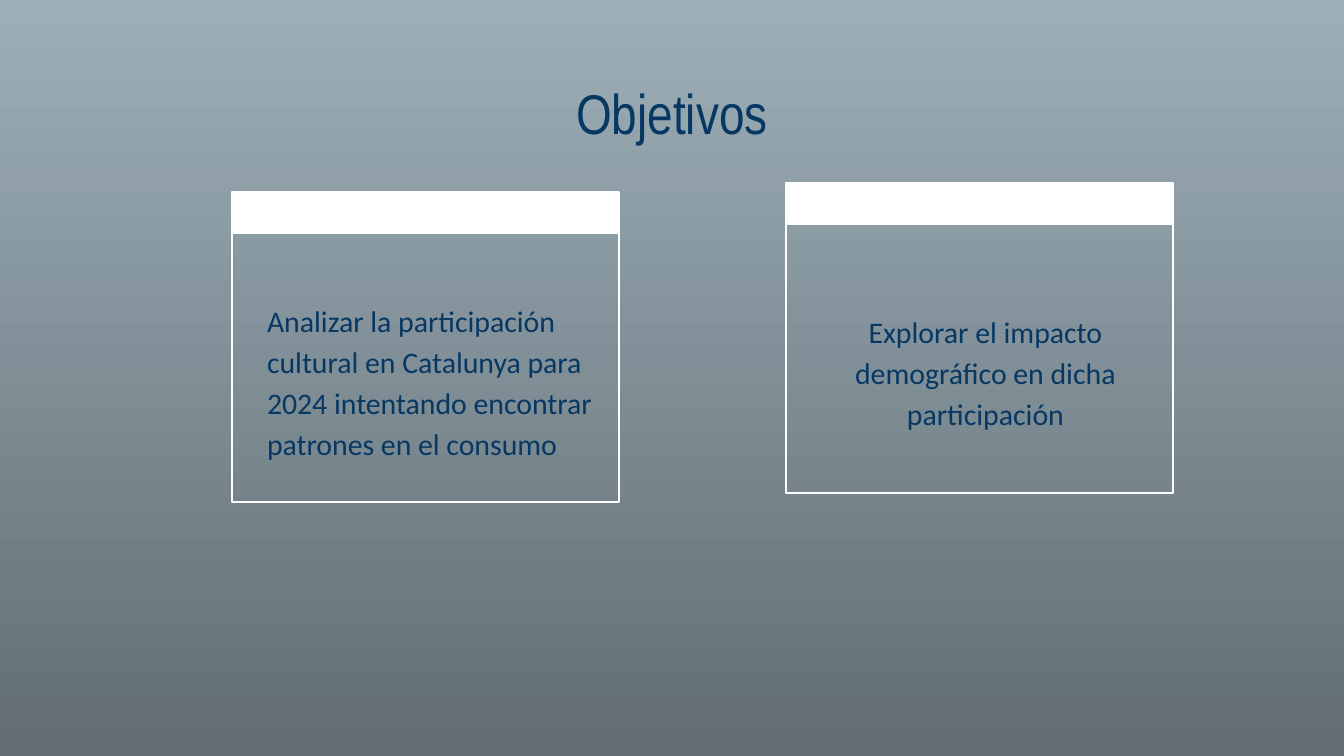
from lxml.etree import SubElement
from pptx import Presentation
from pptx.dml.color import RGBColor
from pptx.enum.shapes import MSO_SHAPE
from pptx.enum.text import MSO_ANCHOR as Anchor, MSO_AUTO_SIZE, PP_ALIGN as Align
from pptx.oxml.ns import qn
from pptx.util import Emu, Pt

NAVY = RGBColor(0x07, 0x37, 0x63)
WHITE = RGBColor(0xFF, 0xFF, 0xFF)
SKY_GREY = RGBColor(0x9E, 0xAF, 0xB8)
SLATE = RGBColor(0x61, 0x6D, 0x73)

WIDTH, HEIGHT = 1344, 756
CARD_WIDTH, CARD_HEIGHT, BAR_HEIGHT = 387, 310, 42
TEXT_WIDTH = 364
INSET = 13
TWO_CONTENT = 3


def px(length):
    return Emu(round(length * 914400 / 134.4))


class ObjectivesSlide:
    title_font, title_size = "Arial Narrow", 30
    body_font, body_size = "Calibri", 16

    def __init__(self, presentation):
        self.slide = presentation.slides.add_slide(presentation.slide_layouts[TWO_CONTENT])

    def background(self, top_color, bottom_color):
        fill = self.slide.background.fill
        fill.gradient()
        fill.gradient_angle = 270
        for stop, color in zip(fill.gradient_stops, (top_color, bottom_color)):
            stop.color.rgb = color

    def fill_placeholder(self, placeholder, box, text, font, size, align, anchor):
        """Place a placeholder, give it one paragraph and return that paragraph."""
        placeholder.left, placeholder.top, placeholder.width, placeholder.height = map(px, box)
        frame = placeholder.text_frame
        frame.text = text
        frame.word_wrap = True
        frame.auto_size = MSO_AUTO_SIZE.NONE
        frame.vertical_anchor = anchor
        frame.margin_left = frame.margin_right = px(INSET)
        frame.margin_top = frame.margin_bottom = px(INSET)
        paragraph = frame.paragraphs[0]
        paragraph.alignment = align
        paragraph.space_before = Pt(0)
        paragraph.font.name = font
        paragraph.font.size = Pt(size)
        paragraph.font.color.rgb = NAVY
        return paragraph

    def title(self, box, text):
        self.fill_placeholder(self.slide.shapes.title, box, text,
                              self.title_font, self.title_size, Align.CENTER, Anchor.TOP)

    def body(self, index, box, text, align=Align.LEFT, anchor=Anchor.TOP, indent=0):
        paragraph = self.fill_placeholder(self.slide.placeholders[index], box, text,
                                          self.body_font, self.body_size, align, anchor)
        paragraph.line_spacing = 1.15
        paragraph.space_after = Pt(16)
        properties = paragraph._p.get_or_add_pPr()
        properties.set("marL", str(px(indent)))
        properties.set("indent", "0")
        bullet = SubElement(properties, qn("a:buNone"))
        properties.find(qn("a:defRPr")).addprevious(bullet)

    def card(self, left, top):
        """Group a white header bar with the outline of the whole card."""
        shapes = self.slide.shapes.add_group_shape().shapes
        bar, outline = (
            shapes.add_shape(MSO_SHAPE.RECTANGLE, px(left), px(top), px(CARD_WIDTH), px(height))
            for height in (BAR_HEIGHT, CARD_HEIGHT)
        )
        bar.fill.solid()
        bar.fill.fore_color.rgb = WHITE
        bar.line.fill.background()
        outline.fill.background()
        outline.line.color.rgb = WHITE
        outline.line.width = Pt(0.75)
        for shape in (bar, outline):
            shape.shadow.inherit = False


def main():
    presentation = Presentation()
    presentation.slide_width, presentation.slide_height = px(WIDTH), px(HEIGHT)

    objectives = ObjectivesSlide(presentation)
    objectives.background(SKY_GREY, SLATE)
    objectives.title((46, 66, 1252, 85), "Objetivos")
    objectives.card(232, 192)
    objectives.body(1, (254, 284, TEXT_WIDTH, 219),
                    "Analizar la participación cultural en Catalunya para 2024 "
                    "intentando encontrar patrones en el consumo")
    objectives.card(786, 183)
    objectives.body(2, (770, 239, TEXT_WIDTH, 262),
                    "Explorar el impacto demográfico en dicha participación",
                    Align.CENTER, Anchor.MIDDLE, indent=67)

    presentation.save("out.pptx")


if __name__ == "__main__":
    main()
